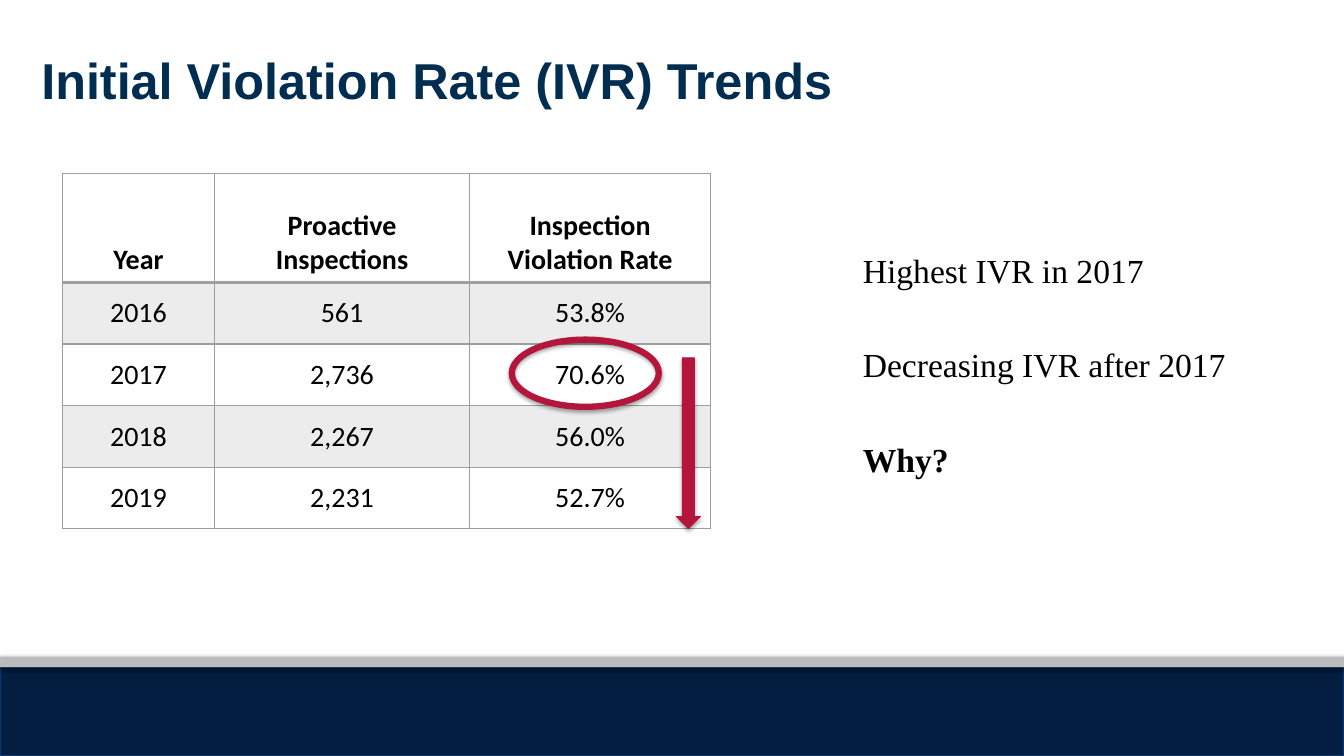
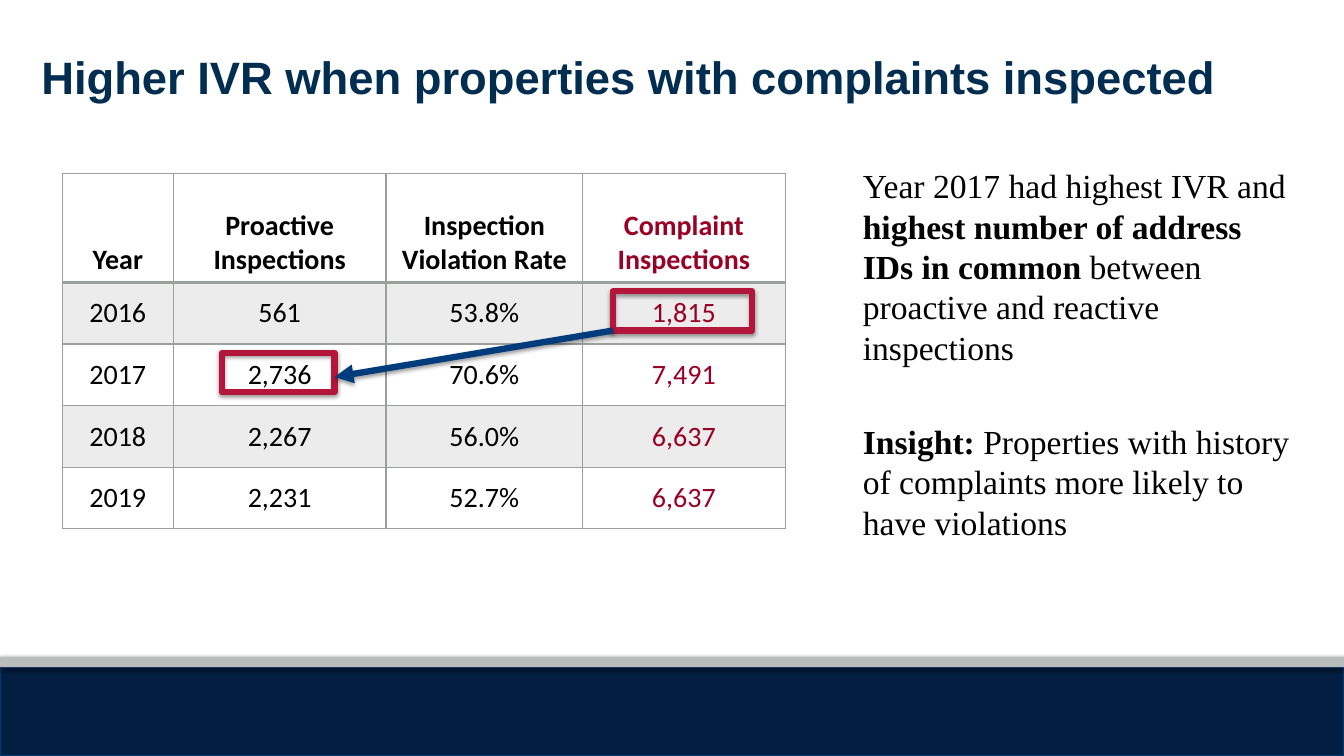
from dataclasses import dataclass

from lxml.etree import SubElement
from pptx import Presentation
from pptx.dml.color import RGBColor
from pptx.enum.shapes import MSO_CONNECTOR, MSO_SHAPE
from pptx.enum.text import MSO_ANCHOR, MSO_AUTO_SIZE, PP_ALIGN
from pptx.oxml.ns import qn
from pptx.util import Pt

COLORS = {
    "title": "002D50",
    "text": "000000",
    "navy": "041E42",
    "navy_edge": "003A79",
    "gray": "BBBCBC",
    "grid": "9CA09C",
    "stripe": "EBECEB",
    "complaint": "9A0026",
    "mark": "B4153B",
    "arrow": "003B7C",
}
HEADER_HEIGHT = 78
ROW_HEIGHT = 44


@dataclass
class Box:
    left: float
    top: float
    width: float
    height: float

    def inside(self, left, top, width, height):
        """Return a box whose place is given from this box's corner."""
        return Box(self.left + left, self.top + top, width, height)

    def lengths(self):
        return [Pt(value) for value in (self.left, self.top, self.width, self.height)]


PAGE = Box(0, 0, 960, 540)
TITLE = PAGE.inside(22.3, 26.6, 911.5, 61.2)
BODY = PAGE.inside(609.1, 87.8, 324.7, 363.6)
NAVY_BAND = PAGE.inside(0, 476.6, 960, 63.4)
GRAY_BAND = PAGE.inside(0, 469, 960, 7.5)

YEARS = ["2016", "2017", "2018", "2019"]
INSPECTIONS = ["561", "2,736", "2,267", "2,231"]
RATES = ["53.8%", "70.6%", "56.0%", "52.7%"]
COMPLAINTS = ["1,815", "7,491", "6,637", "6,637"]


def color(name):
    return RGBColor.from_string(COLORS[name])


def write(paragraph, text, *, font, size, fill="text", bold=False):
    run = paragraph.add_run()
    run.text = text
    run.font.name = font
    run.font.size = Pt(size)
    run.font.bold = bold
    run.font.color.rgb = color(fill)


def add_shadow(shape, opacity=35, distance=1.8):
    """Add a soft downward shadow; call after fill and line are set."""
    effects = SubElement(shape.element.spPr, qn("a:effectLst"))
    outer = SubElement(effects, qn("a:outerShdw"), blurRad=str(Pt(3.1)),
                       dist=str(Pt(distance)), dir="5400000", rotWithShape="0")
    black = SubElement(outer, qn("a:srgbClr"), val="000000")
    SubElement(black, qn("a:alpha"), val=str(opacity * 1000))


def add_shape(slide, kind, box, fill=None, line=None, line_width=0.75, **shadow):
    shape = slide.shapes.add_shape(kind, *box.lengths())
    if fill:
        shape.fill.solid()
        shape.fill.fore_color.rgb = color(fill)
    else:
        shape.fill.background()
    if line:
        shape.line.color.rgb = color(line)
        shape.line.width = Pt(line_width)
    else:
        shape.line.fill.background()
    add_shadow(shape, **shadow)
    return shape


def add_arrow(slide, start, end):
    points = [Pt(value) for value in (*start, *end)]
    arrow = slide.shapes.add_connector(MSO_CONNECTOR.STRAIGHT, *points)
    arrow.line.color.rgb = color("arrow")
    arrow.line.width = Pt(4.5)
    SubElement(arrow.line._get_or_add_ln(), qn("a:tailEnd"), type="triangle")
    add_shadow(arrow, opacity=38, distance=1.6)


def set_up_master(slide):
    """Give all slides the footer bands and the placeholder places."""
    layout = slide.slide_layout
    for placeholder, box in zip(layout.placeholders, (TITLE, BODY)):
        (placeholder.left, placeholder.top,
         placeholder.width, placeholder.height) = box.lengths()
    bands = [
        add_shape(slide, MSO_SHAPE.RECTANGLE, NAVY_BAND, "navy", "navy_edge"),
        add_shape(slide, MSO_SHAPE.RECTANGLE, GRAY_BAND, "gray"),
    ]
    master_tree = layout.slide_master.shapes.element
    for index, band in enumerate(bands):
        band.element.nvSpPr.cNvPr.set("id", str(101 + index))
        master_tree.insert(2 + index, band.element)


def fill_title(slide, text, size):
    frame = slide.shapes.title.text_frame
    frame.auto_size = MSO_AUTO_SIZE.NONE
    frame.vertical_anchor = MSO_ANCHOR.TOP
    frame.margin_top = Pt(8.5)
    paragraph = frame.paragraphs[0]
    paragraph.alignment = PP_ALIGN.LEFT
    write(paragraph, text, font="Arial", size=size, fill="title", bold=True)


def fill_body(slide, paragraphs, offset):
    """Write paragraphs, each a list of (text, bold) runs, offset from the top."""
    frame = slide.placeholders[1].text_frame
    frame.auto_size = MSO_AUTO_SIZE.NONE
    frame.vertical_anchor = MSO_ANCHOR.TOP
    frame.margin_top = Pt(offset)
    for index, runs in enumerate(paragraphs):
        paragraph = frame.add_paragraph() if index else frame.paragraphs[0]
        paragraph.line_spacing = Pt(28.8)
        paragraph.space_before = Pt(38.8 if index else 0)
        properties = paragraph._p.get_or_add_pPr()
        properties.set("marL", "0")
        properties.set("indent", "0")
        SubElement(properties, qn("a:buNone"))
        for text, bold in runs:
            write(paragraph, text, font="Times New Roman", size=24, bold=bold)


def draw_borders(cell_properties, bottom_width):
    widths = {"L": 1, "R": 1, "T": 1, "B": bottom_width}
    for index, (side, width) in enumerate(widths.items()):
        line = SubElement(cell_properties, qn(f"a:ln{side}"), w=str(Pt(width)))
        fill = SubElement(line, qn("a:solidFill"))
        SubElement(fill, qn("a:srgbClr"), val=COLORS["grid"])
        cell_properties.insert(index, line)


def fill_cell(cell, text, row, fill):
    header = row == 0
    cell.vertical_anchor = MSO_ANCHOR.BOTTOM if header else MSO_ANCHOR.MIDDLE
    if row % 2:
        cell.fill.solid()
        cell.fill.fore_color.rgb = color("stripe")
    else:
        cell.fill.background()
    draw_borders(cell._tc.get_or_add_tcPr(), bottom_width=2 if row == 0 else 1)
    for index, line in enumerate(text.split("\n")):
        frame = cell.text_frame
        paragraph = frame.add_paragraph() if index else frame.paragraphs[0]
        paragraph.alignment = PP_ALIGN.CENTER
        write(paragraph, line, font="Calibri", size=20, fill=fill, bold=header)


def add_rate_table(slide, columns):
    """Draw columns of (header, values, width, text color); return the table's box."""
    width = sum(column[2] for column in columns)
    box = PAGE.inside(44.6, 123.8, width, HEADER_HEIGHT + len(YEARS) * ROW_HEIGHT)
    frame = slide.shapes.add_table(len(YEARS) + 1, len(columns), *box.lengths())
    table = frame.table
    table.first_row = table.horz_banding = False
    for row_index, row in enumerate(table.rows):
        row.height = Pt(ROW_HEIGHT if row_index else HEADER_HEIGHT)
    for column_index, (header, values, column_width, fill) in enumerate(columns):
        table.columns[column_index].width = Pt(column_width)
        for row_index, text in enumerate([header, *values]):
            fill_cell(table.cell(row_index, column_index), text, row_index, fill)
    return box


def rate_columns(*widths):
    headers = ["Year", "Proactive Inspections", "Inspection Violation Rate"]
    values = [YEARS, INSPECTIONS, RATES]
    return [(*column, "text") for column in zip(headers, values, widths)]


def build_trend_slide(slide):
    fill_title(slide, "Initial Violation Rate (IVR) Trends", 36)
    fill_body(slide, [
        [("Highest IVR in 2017", False)],
        [("Decreasing IVR after 2017", False)],
        [("Why?", True)],
    ], offset=90.6)
    table = add_rate_table(slide, rate_columns(108.7, 182.2, 172.1))
    add_shape(slide, MSO_SHAPE.OVAL, table.inside(321, 118.8, 105, 48),
              line="mark", line_width=4.5)
    add_shape(slide, MSO_SHAPE.DOWN_ARROW, table.inside(438.5, 131.8, 17.2, 122),
              "mark", "mark")


def build_complaint_slide(slide):
    fill_title(slide, "Higher IVR when properties with complaints inspected", 32.4)
    fill_body(slide, [
        [("Year 2017 had highest IVR and ", False),
         ("highest number of address IDs in common ", True),
         ("between proactive and reactive inspections", False)],
        [("Insight: ", True),
         ("Properties with history of complaints more likely to have violations",
          False)],
    ], offset=30.2)
    complaints = ("Complaint\nInspections", COMPLAINTS, 144.7, "complaint")
    table = add_rate_table(slide, [*rate_columns(79.2, 152, 140.4), complaints])
    complaint_mark = table.inside(393.2, 84.3, 99.4, 28)
    inspection_mark = table.inside(113.8, 128.2, 80.6, 28)
    for mark in (complaint_mark, inspection_mark):
        add_shape(slide, MSO_SHAPE.RECTANGLE, mark, line="mark", line_width=4.5,
                  opacity=38, distance=1.6)
    add_arrow(
        slide,
        (complaint_mark.left, complaint_mark.top + complaint_mark.height),
        (inspection_mark.left + inspection_mark.width, inspection_mark.top + 17.3),
    )


def main():
    presentation = Presentation()
    presentation.slide_width = Pt(PAGE.width)
    presentation.slide_height = Pt(PAGE.height)
    layout = presentation.slide_layouts[1]
    slides = [presentation.slides.add_slide(layout) for _ in range(2)]
    set_up_master(slides[0])
    build_trend_slide(slides[0])
    build_complaint_slide(slides[1])
    presentation.save("out.pptx")


if __name__ == "__main__":
    main()
